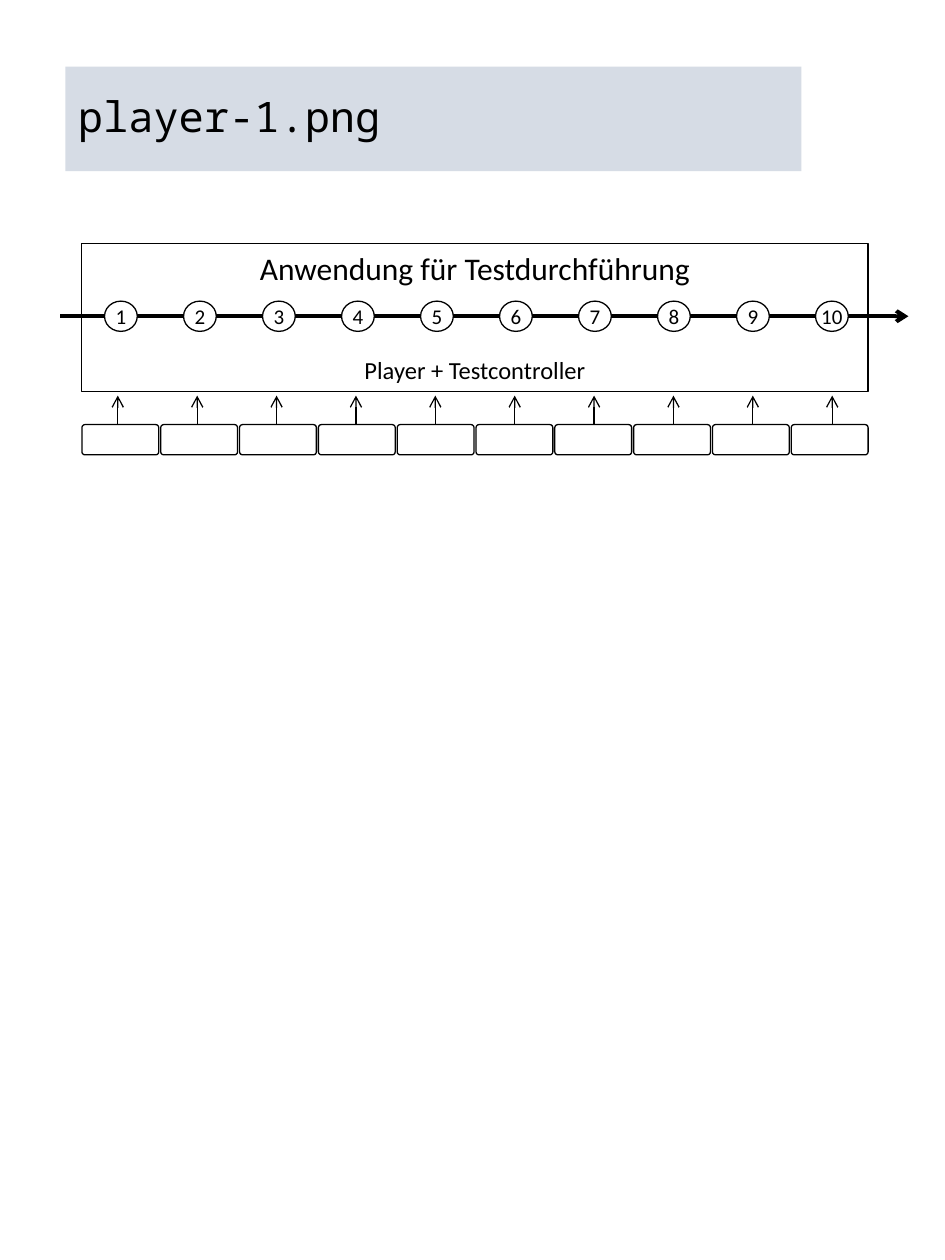
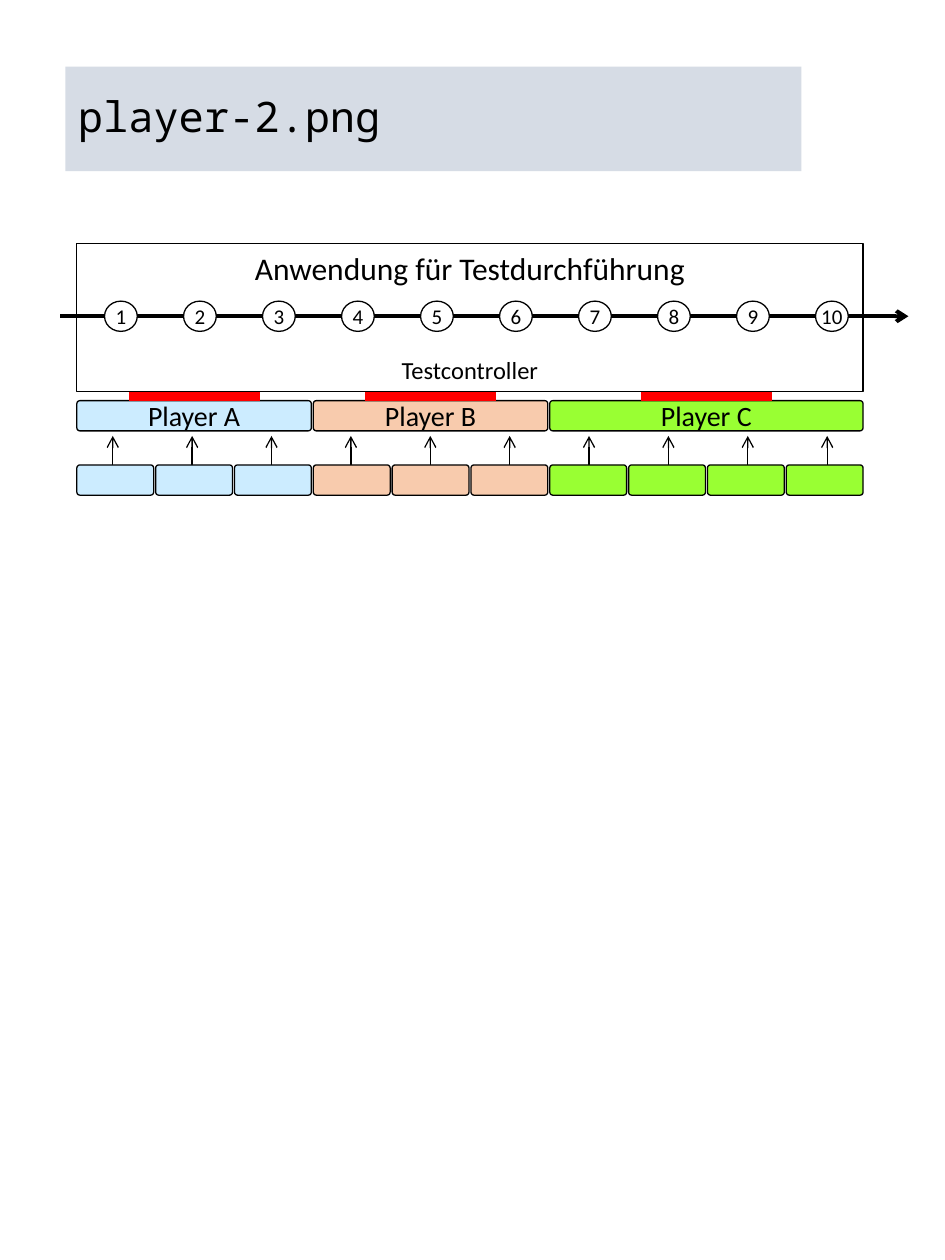
from dataclasses import dataclass
from typing import Union

from lxml.etree import SubElement
from pptx import Presentation
from pptx.dml.color import RGBColor
from pptx.enum.shapes import MSO_CONNECTOR, MSO_SHAPE
from pptx.enum.text import MSO_ANCHOR, PP_ALIGN
from pptx.oxml.ns import qn
from pptx.shapes.autoshape import Shape
from pptx.shapes.shapetree import GroupShapes, SlideShapes
from pptx.util import Inches, Pt

Shapes = Union[SlideShapes, GroupShapes]

COLORS = {
    "ink": "000000",
    "paper": "FFFFFF",
    "title band": "D6DCE5",
    "blue": "CCECFF",
    "orange": "F8CBAD",
    "green": "99FF33",
    "link": "FF0000",
}
BODY_FONT = "Calibri"
TITLE_FONT = "Noto Sans Mono"

STEP_COUNT = 10
APP_TOP, APP_WIDTH, APP_HEIGHT = 1.93, 6.24, 1.18
UNIT_WIDTH, ROW_HEIGHT = 0.61, 0.24
UNIT_PITCH = (APP_WIDTH - UNIT_WIDTH) / (STEP_COUNT - 1)
TIMELINE_Y = 2.51
STEP_LEFT, STEP_WIDTH, STEP_PITCH = 0.83, 0.26, 0.627
ARROW_INDENT, ARROW_PITCH, ARROW_LENGTH = 0.285, 0.63, 0.23
PLAYER_TOP, LINK_Y, LINK_WIDTH = 3.18, 3.14, 1.04


@dataclass(frozen=True)
class Box:
    left: float
    top: float
    width: float
    height: float


@dataclass(frozen=True)
class Player:
    """A run of neighbouring units; without a label only the units show."""
    units: int
    color: str
    label: str = ""


@dataclass(frozen=True)
class Architecture:
    title: str
    controller: str
    app_left: float
    unit_top: float
    players: tuple[Player, ...]


ARCHITECTURES = (
    Architecture("player-1.png", "Player + Testcontroller", 0.65, 3.37,
                 (Player(STEP_COUNT, "paper"),)),
    Architecture("player-2.png", "Testcontroller", 0.61, 3.69,
                 (Player(3, "blue", "Player A"),
                  Player(3, "orange", "Player B"),
                  Player(4, "green", "Player C"))),
)


def rgb(color: str) -> RGBColor:
    return RGBColor.from_string(COLORS[color])


def add_box(shapes: Shapes, kind: MSO_SHAPE, box: Box, fill: str,
            outlined: bool = True) -> Shape:
    shape = shapes.add_shape(kind, Inches(box.left), Inches(box.top),
                             Inches(box.width), Inches(box.height))
    shape.shadow.inherit = False
    shape.fill.solid()
    shape.fill.fore_color.rgb = rgb(fill)
    if outlined:
        shape.line.color.rgb = rgb("ink")
        shape.line.width = Pt(0.75)
    else:
        shape.line.fill.background()
    if kind == MSO_SHAPE.ROUNDED_RECTANGLE:
        shape.adjustments[0] = 0.1
    return shape


def write(shape: Shape, text: str, *, size: float, font: str = BODY_FONT,
          align: PP_ALIGN = PP_ALIGN.CENTER, anchor: MSO_ANCHOR = MSO_ANCHOR.MIDDLE,
          line_spacing: Union[float, Pt, None] = None, space_before: float = 0) -> None:
    """Fill the first paragraph, or append one if the shape already has text."""
    frame = shape.text_frame
    paragraph = frame.add_paragraph() if frame.text else frame.paragraphs[0]
    frame.vertical_anchor = anchor
    paragraph.alignment = align
    paragraph.space_before = Pt(space_before)
    if line_spacing is not None:
        paragraph.line_spacing = line_spacing
    run = paragraph.add_run()
    run.text = text
    run.font.name = font
    run.font.size = Pt(size)
    run.font.color.rgb = rgb("ink")


def add_line(shapes: Shapes, start: tuple[float, float], end: tuple[float, float],
             width: float = 0.75, color: str = "ink", arrow: bool = True) -> None:
    line = shapes.add_connector(MSO_CONNECTOR.STRAIGHT, *map(Inches, start + end))
    line.line.color.rgb = rgb(color)
    line.line.width = Pt(width)
    if arrow:
        SubElement(line.line._get_or_add_ln(), qn("a:tailEnd"), type="arrow")
    SubElement(line._element.spPr, qn("a:effectLst"))


def add_title(shapes: Shapes, title: str) -> None:
    band = add_box(shapes, MSO_SHAPE.RECTANGLE, Box(0.52, 0.53, 5.84, 0.83),
                   "title band", outlined=False)
    write(band, title, size=24, font=TITLE_FONT, align=PP_ALIGN.LEFT, line_spacing=0.9)


def add_unit_arrows(shapes: Shapes, architecture: Architecture) -> None:
    for index in range(STEP_COUNT):
        x = architecture.app_left + ARROW_INDENT + index * ARROW_PITCH
        add_line(shapes, (x, architecture.unit_top),
                 (x, architecture.unit_top - ARROW_LENGTH))


def add_players(shapes: Shapes, architecture: Architecture) -> None:
    left = architecture.app_left
    for player in architecture.players:
        for index in range(player.units):
            add_box(shapes, MSO_SHAPE.ROUNDED_RECTANGLE,
                    Box(left + index * UNIT_PITCH, architecture.unit_top,
                        UNIT_WIDTH, ROW_HEIGHT), player.color)
        if player.label:
            width = (player.units - 1) * UNIT_PITCH + UNIT_WIDTH
            bar = add_box(shapes, MSO_SHAPE.ROUNDED_RECTANGLE,
                          Box(left, PLAYER_TOP, width, ROW_HEIGHT), player.color)
            write(bar, player.label, size=16)
            link_left = left + (width - LINK_WIDTH) / 2
            add_line(shapes, (link_left, LINK_Y), (link_left + LINK_WIDTH, LINK_Y),
                     width=6, color="link", arrow=False)
        left += player.units * UNIT_PITCH


def add_application(shapes: Shapes, architecture: Architecture) -> None:
    application = add_box(shapes, MSO_SHAPE.RECTANGLE,
                          Box(architecture.app_left, APP_TOP, APP_WIDTH, APP_HEIGHT),
                          "paper")
    write(application, "Anwendung für Testdurchführung", size=18, anchor=MSO_ANCHOR.TOP)
    write(application, architecture.controller, size=14, anchor=MSO_ANCHOR.TOP,
          space_before=39)


def add_timeline(shapes: Shapes) -> None:
    add_line(shapes, (0.48, TIMELINE_Y), (7.21, TIMELINE_Y), width=2.25)
    steps = shapes.add_group_shape().shapes
    for index in range(STEP_COUNT):
        step = add_box(steps, MSO_SHAPE.OVAL,
                       Box(STEP_LEFT + index * STEP_PITCH, TIMELINE_Y - ROW_HEIGHT / 2,
                           STEP_WIDTH, ROW_HEIGHT), "paper")
        frame = step.text_frame
        frame.margin_left = frame.margin_right = 0
        frame.margin_top = frame.margin_bottom = 0
        write(step, str(index + 1), size=12, anchor=MSO_ANCHOR.TOP,
              line_spacing=Pt(13.2))


def main() -> None:
    deck = Presentation()
    deck.slide_width, deck.slide_height = Inches(7.5), Inches(10)
    for architecture in ARCHITECTURES:
        shapes = deck.slides.add_slide(deck.slide_layouts[6]).shapes
        add_title(shapes, architecture.title)
        add_unit_arrows(shapes, architecture)
        add_players(shapes, architecture)
        add_application(shapes, architecture)
        add_timeline(shapes)
    deck.save("out.pptx")


if __name__ == "__main__":
    main()
